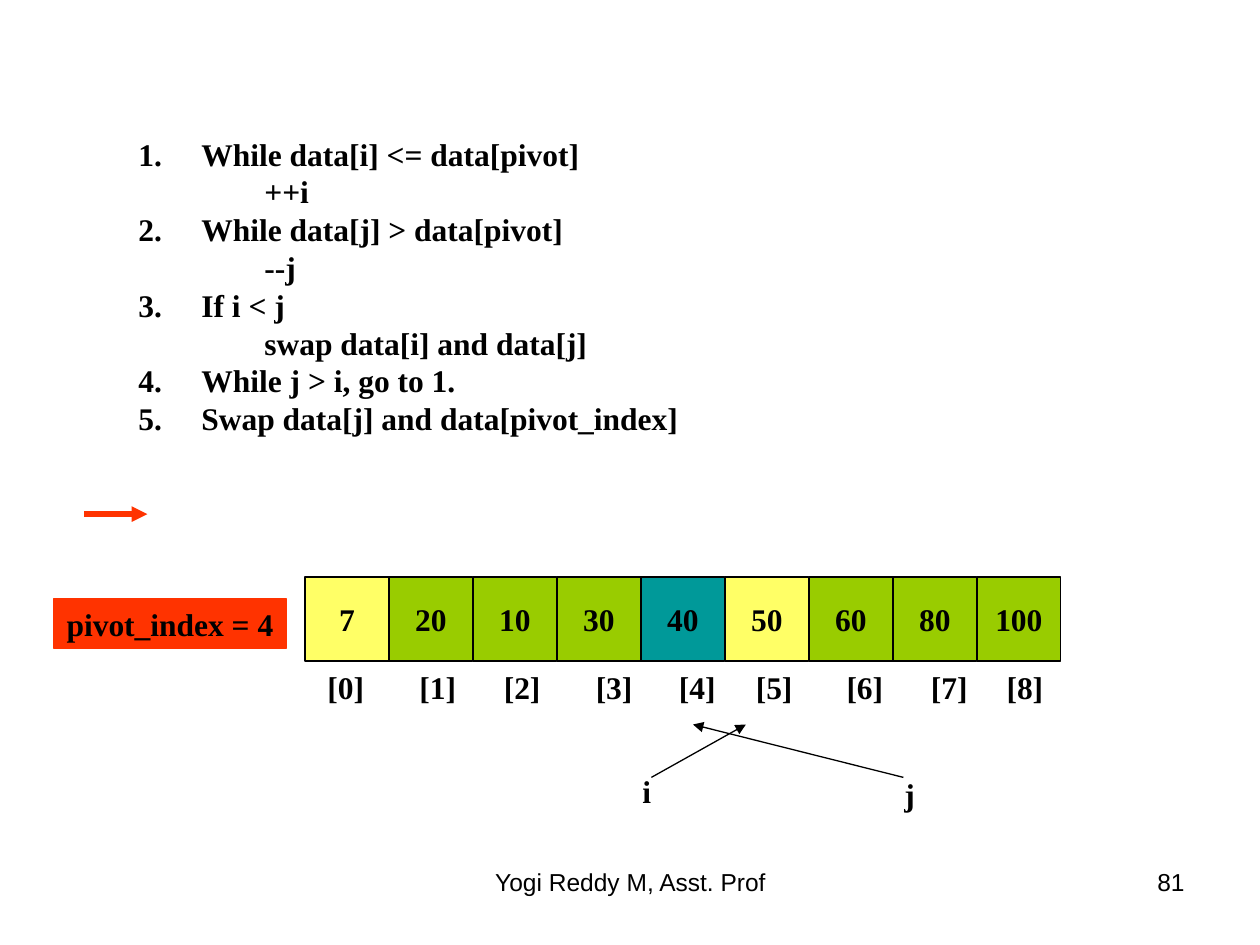
from lxml import etree
from pptx import Presentation
from pptx.dml.color import RGBColor
from pptx.enum.shapes import MSO_CONNECTOR, MSO_SHAPE
from pptx.enum.text import MSO_ANCHOR, PP_ALIGN
from pptx.oxml.ns import qn
from pptx.util import Inches, Pt

LEFT, MID, RIGHT = PP_ALIGN.LEFT, PP_ALIGN.CENTER, PP_ALIGN.RIGHT
TOP, MIDDLE = MSO_ANCHOR.TOP, MSO_ANCHOR.MIDDLE
RECT, LINE = MSO_SHAPE.RECTANGLE, MSO_CONNECTOR.STRAIGHT
SERIF, SANS = "Times New Roman", "Arial"
BLACK, RED = "000000", "FF3300"
YELLOW, GREEN, TEAL = "FFFF66", "99CC00", "009999"

STEPS = [  # (step, action below it)
    ("While data[i] <= data[pivot]", "++i"),
    ("While data[j] > data[pivot]", "--j"),
    ("If i < j", "swap data[i] and data[j]"),
    ("While j > i, go to 1.", None),
    ("Swap data[j] and data[pivot_index]", None),
]
DATA = [7, 20, 10, 30, 40, 50, 60, 80, 100]
FILLS = {0: YELLOW, 4: TEAL, 5: YELLOW}
STOPS = [0.73, 1.4, 2.13, 2.79, 3.4, 4.12, 4.79, 5.39]  # index labels
ARROWS = [  # start, end, colour, width
    ((7.17, 6.17), (5.5, 5.75), BLACK, 0.75),
    ((5.17, 6.17), (5.92, 5.75), BLACK, 0.75),
    ((0.67, 4.08), (1.17, 4.08), RED, 3),
]
NOTES = [  # text, place, font, size, bold, align
    ("i", (5, 6.08, 0.33, 0.4), SERIF, 18, True, LEFT),
    ("j", (7.08, 6.1, 0.33, 0.4), SERIF, 18, True, LEFT),
    ("Yogi Reddy M, Asst. Prof", (3.42, 6.83, 3.17, 0.52), SANS, 14, False, MID),
    ("81", (7.17, 6.83, 2.33, 0.52), SANS, 14, False, RIGHT),
]
ROW_X, ROW_Y, CELL = 2.42, 4.58, 2 / 3


def rgb(code):
    return RGBColor.from_string(code)


def add(parent, tag, **attrs):
    return etree.SubElement(parent, qn(tag), {k: str(v) for k, v in attrs.items()})


def set_tabs(para, stops):
    tabs = add(para._p.get_or_add_pPr(), "a:tabLst")
    for stop in stops:
        add(tabs, "a:tab", pos=Inches(stop), algn="l")


def write(para, text, font=SERIF, size=18, bold=True, align=LEFT):
    para.alignment = align
    run = para.add_run()
    run.text = text
    run.font.name, run.font.size, run.font.bold = font, Pt(size), bold
    run.font.color.rgb = rgb(BLACK)


def text_box(slide, place, wrap=False):
    frame = slide.shapes.add_textbox(*map(Inches, place)).text_frame
    frame.word_wrap = wrap
    return frame


def add_cell(slide, text, place, fill, edge, align=MID, anchor=MIDDLE):
    box = slide.shapes.add_shape(RECT, *map(Inches, place))
    box.shadow.inherit = False
    box.fill.solid()
    box.fill.fore_color.rgb = rgb(fill)
    box.line.color.rgb = rgb(edge)
    box.line.width = Pt(0.75)
    frame = box.text_frame
    frame.word_wrap, frame.vertical_anchor = False, anchor
    write(frame.paragraphs[0], text, align=align)


def add_steps(slide):
    frame = text_box(slide, (1, 1.02, 4.76, 3.4))
    lines = [(text, level) for pair in STEPS
             for level, text in enumerate(pair) if text]
    for n, (text, level) in enumerate(lines):
        para = frame.add_paragraph() if n else frame.paragraphs[0]
        para.level = level
        props = para._p.get_or_add_pPr()
        props.set("marL", str(Inches(0.5 + 0.5 * level)))
        props.set("indent", str(Inches(-0.5)))
        if level:
            add(props, "a:buNone")
            set_tabs(para, [1])
        else:
            add(props, "a:buFont", typeface=SERIF)
            add(props, "a:buAutoNum", type="arabicPeriod")
        write(para, "\t" + text if level else text)


def add_arrow(slide, start, end, color, width):
    arrow = slide.shapes.add_connector(LINE, *map(Inches, start + end))
    arrow.line.color.rgb = rgb(color)
    arrow.line.width = Pt(width)
    add(arrow.line._get_or_add_ln(), "a:tailEnd", type="triangle")
    add(arrow._element.spPr, "a:effectLst")


def main():
    deck = Presentation()
    deck.slide_width, deck.slide_height = Inches(10), Inches(7.5)
    slide = deck.slides.add_slide(deck.slide_layouts[6])
    add_steps(slide)
    for n, value in enumerate(DATA):
        place = (ROW_X + n * CELL, ROW_Y, CELL, CELL)
        add_cell(slide, str(value), place, FILLS.get(n, GREEN), BLACK)
    add_cell(slide, "pivot_index = 4", (0.43, 4.75, 1.84, 0.4), RED, RED, LEFT, TOP)
    para = text_box(slide, (2.5, 5.25, 5.88, 0.4)).paragraphs[0]
    set_tabs(para, STOPS)
    write(para, "\t".join(f"[{n}]" for n in range(len(DATA))))
    for text, place, *style in NOTES:
        write(text_box(slide, place, True).paragraphs[0], text, *style)
    for arrow in ARROWS:
        add_arrow(slide, *arrow)
    deck.save("out.pptx")


if __name__ == "__main__":
    main()
